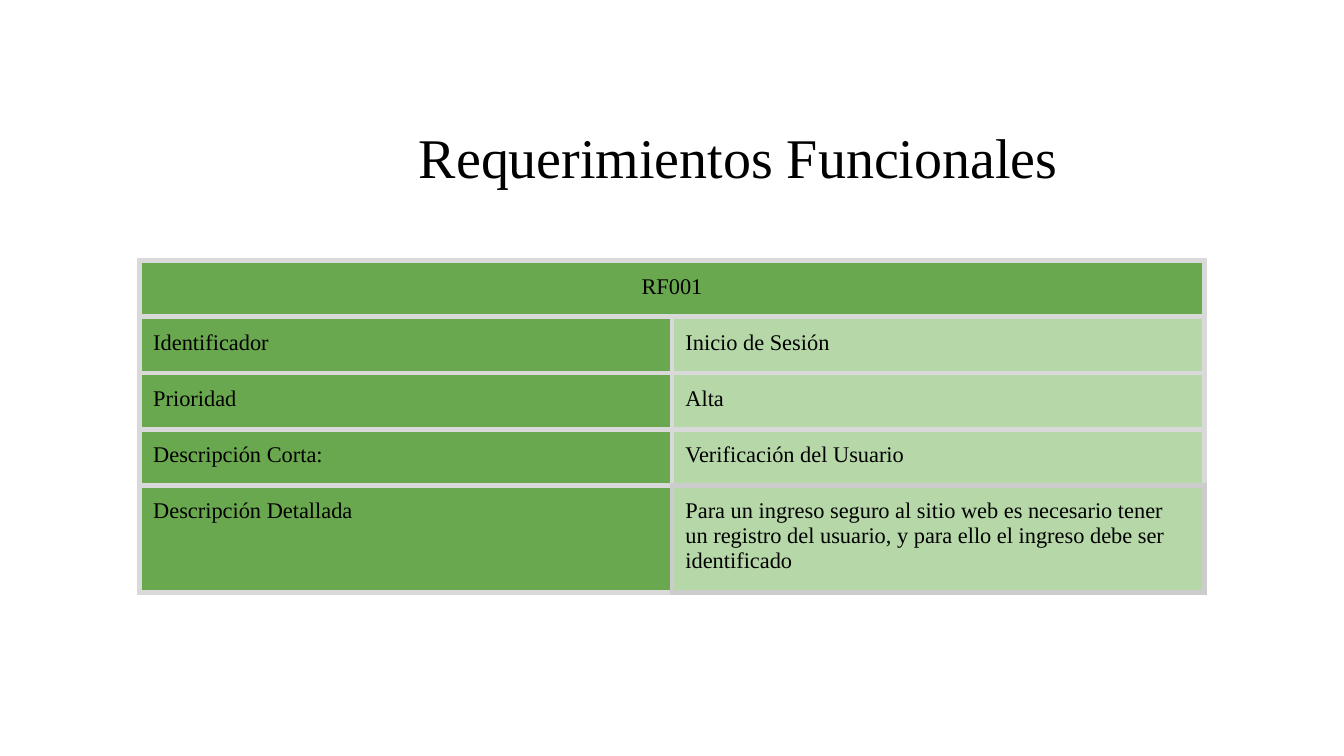
from dataclasses import dataclass

from lxml import etree
from pptx import Presentation
from pptx.dml.color import RGBColor
from pptx.enum.text import MSO_ANCHOR, MSO_AUTO_SIZE, PP_ALIGN
from pptx.oxml.ns import qn
from pptx.util import Inches, Pt

CENTER, LEFT = PP_ALIGN.CENTER, PP_ALIGN.LEFT
TOP = MSO_ANCHOR.TOP
GROW = MSO_AUTO_SIZE.SHAPE_TO_FIT_TEXT
WIDE = Inches(10)
HIGH = WIDE * 9 // 16
TITLE_ONLY = 5


@dataclass(frozen=True)
class Theme:
    font: str = "Times New Roman"
    ink: str = "000000"
    dark: str = "6AA84F"
    light: str = "B6D7A8"
    line: str = "D9D9D9"
    edge: str = "CCCCCC"
    head: int = 30
    body: int = 12
    rule: int = 3
    pad: float = 0.1
    tab: int = 1


THEME = Theme()
HEAD = "RF001"
ROWS = [
    ("Identificador", "Inicio de Sesión"),
    ("Prioridad", "Alta"),
    ("Descripción Corta:", "Verificación del Usuario"),
    ("Descripción Detallada",
     "Para un ingreso seguro al sitio web es necesario tener un registro "
     "del usuario, y para ello el ingreso debe ser identificado"),
]


def share(x, y, w, h):
    """Turn percentages of the slide into a box."""
    return [round(part * full / 100)
            for part, full in zip((x, y, w, h), (WIDE, HIGH) * 2)]


def write(frame, text, size, align):
    par = frame.paragraphs[0]
    par.alignment = align
    run = par.add_run()
    run.text = text
    run.font.name = THEME.font
    run.font.size = Pt(size)
    run.font.color.rgb = RGBColor.from_string(THEME.ink)


def inset(part):
    """Give a cell or text frame equal margins."""
    part.margin_left = part.margin_right = Inches(THEME.pad)
    part.margin_top = part.margin_bottom = Inches(THEME.pad)
    part.vertical_anchor = TOP


def add_stop(par):
    """Set one left tab stop."""
    stops = etree.SubElement(par._p.get_or_add_pPr(), qn("a:tabLst"))
    etree.SubElement(stops, qn("a:tab"), pos=str(Inches(THEME.tab)), algn="l")


def border(cell, hues):
    """Draw the left, right, top and bottom lines, in that order."""
    props = cell._tc.get_or_add_tcPr()
    for spot, (side, hue) in enumerate(zip("LRTB", hues)):
        line = etree.Element(qn(f"a:ln{side}"), w=str(Pt(THEME.rule)))
        fill = etree.SubElement(line, qn("a:solidFill"))
        etree.SubElement(fill, qn("a:srgbClr"), val=hue)
        props.insert(spot, line)


def add_title(slide, box, text):
    title = slide.shapes.title
    title.left, title.top, title.width, title.height = box
    frame = title.text_frame
    inset(frame)
    frame.word_wrap = True
    frame.auto_size = GROW
    add_stop(frame.paragraphs[0])
    write(frame, text, THEME.head, CENTER)


def add_grid(slide, box, head, rows):
    count = len(rows) + 1
    table = slide.shapes.add_table(count, 2, *box).table
    table.first_row = table.horz_banding = False
    table.cell(0, 0).merge(table.cell(0, 1))
    last = count - 1
    for r, row in enumerate([(head, ""), *rows]):
        for c, text in enumerate(row):
            cell = table.cell(r, c)
            inset(cell)
            cell.fill.solid()
            hue = THEME.light if r and c else THEME.dark
            cell.fill.fore_color.rgb = RGBColor.from_string(hue)
            # The detail cell has a darker edge, shared with its neighbours
            hues = [THEME.line] * 4
            if (r, c) == (last, 1):
                hues = [THEME.edge] * 4
            elif (r, c) == (last, 0):
                hues[1] = THEME.edge
            elif (r, c) == (last - 1, 1):
                hues[3] = THEME.edge
            border(cell, hues)
            if text:
                write(cell.text_frame, text, THEME.body, LEFT if r else CENTER)


def main():
    deck = Presentation()
    deck.slide_width, deck.slide_height = WIDE, HIGH
    slide = deck.slides.add_slide(deck.slide_layouts[TITLE_ONLY])
    # Heading, pushed right by a tab
    add_title(slide, share(18.4, 14.4, 63.1, 12.6),
              "\tRequerimientos Funcionales")
    # Requirement table, last row grows with its text
    add_grid(slide, share(10.4, 34.5, 79.2, 37.1), HEAD, ROWS)
    deck.save("out.pptx")


if __name__ == "__main__":
    main()
